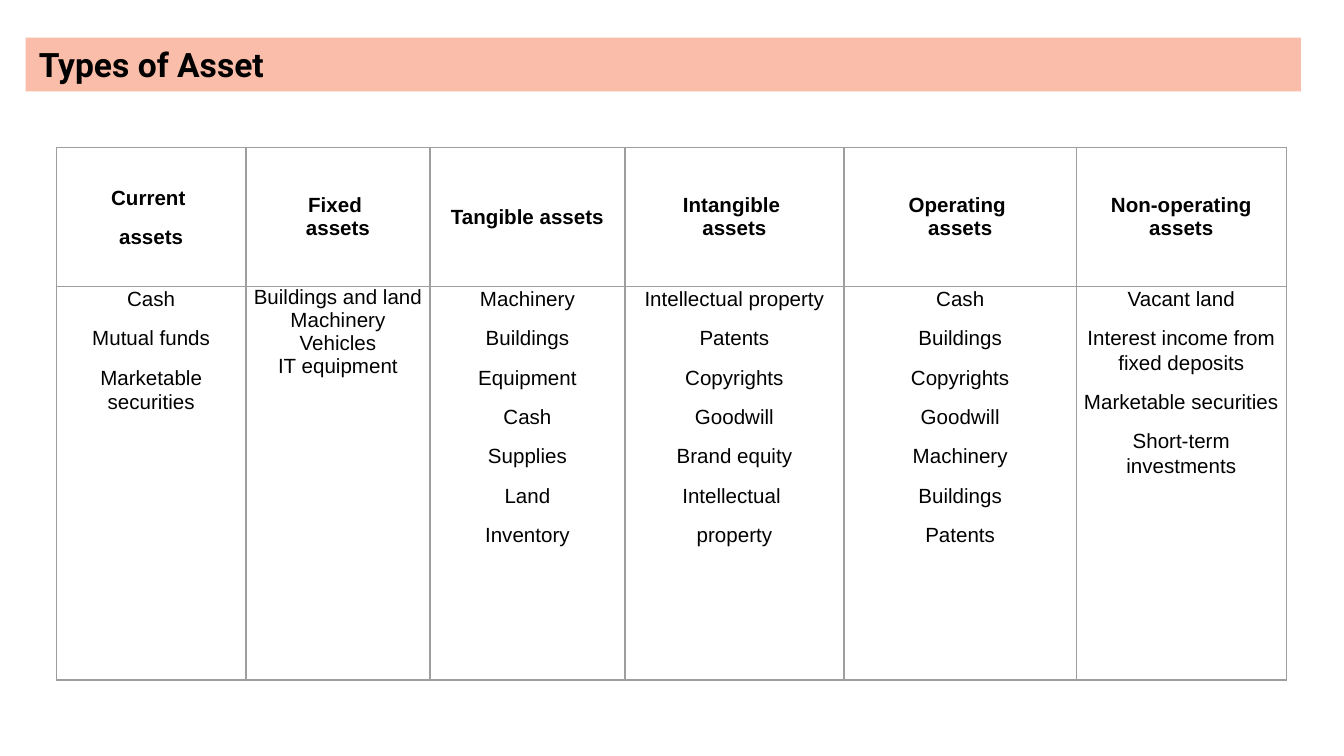
from lxml.etree import SubElement
from pptx import Presentation
from pptx.dml.color import RGBColor
from pptx.enum.shapes import MSO_SHAPE
from pptx.enum.text import MSO_ANCHOR, PP_ALIGN
from pptx.oxml.ns import qn
from pptx.util import Inches, Pt

COLORS = {"banner": "F9BDA9", "text": "000000", "border": "9E9E9E"}
COLUMN_WIDTHS = [1.41, 1.37, 1.45, 1.63, 1.73, 1.56]
ROW_HEIGHTS = [1.03, 2.93]
HEADINGS = [
    ["Current ", "assets"],
    ["Fixed ", "assets"],
    ["Tangible assets"],
    ["Intangible ", "assets"],
    ["Operating ", "assets"],
    ["Non-operating assets"],
]
EXAMPLES = [
    ["Cash", "Mutual funds", "Marketable securities"],
    ["Buildings and land", "Machinery", "Vehicles", "IT equipment"],
    ["Machinery", "Buildings", "Equipment", "Cash", "Supplies", "Land", "Inventory"],
    ["Intellectual property", "Patents", "Copyrights", "Goodwill", "Brand equity",
     "Intellectual ", "property"],
    ["Cash", "Buildings", "Copyrights", "Goodwill", "Machinery", "Buildings", "Patents"],
    ["Vacant land", "Interest income from fixed deposits", "Marketable securities",
     "Short-term investments"],
]


def style_font(p, name, size, bold):
    """Set the font of a whole paragraph."""
    p.font.name = name
    p.font.size = Pt(size)
    p.font.bold = bold
    p.font.color.rgb = RGBColor.from_string(COLORS["text"])


def add_banner(s, text):
    """Add the filled title bar."""
    sp = s.shapes.add_shape(MSO_SHAPE.RECTANGLE, Inches(0.19), Inches(0.28),
                            Inches(9.49), Inches(0.4))
    sp.shadow.inherit = False
    sp.fill.solid()
    sp.fill.fore_color.rgb = RGBColor.from_string(COLORS["banner"])
    sp.line.fill.background()
    tf = sp.text_frame
    tf.word_wrap = True
    p = tf.paragraphs[0]
    p.text = text
    p.alignment = PP_ALIGN.JUSTIFY
    style_font(p, "Roboto", 18, True)


def add_borders(cell):
    """Draw a thin line on each side of a cell."""
    tc_pr = cell._tc.get_or_add_tcPr()
    for side in ("lnL", "lnR", "lnT", "lnB"):
        ln = SubElement(tc_pr, qn(f"a:{side}"), w=str(Pt(0.75)))
        fill = SubElement(ln, qn("a:solidFill"))
        SubElement(fill, qn("a:srgbClr"), val=COLORS["border"])


def fill_cell(cell, lines, heading, spaced):
    """Write centred lines into a bordered, unfilled cell."""
    add_borders(cell)
    cell.fill.background()
    cell.margin_left = cell.margin_right = Inches(0.02)
    cell.margin_top = cell.margin_bottom = 0
    cell.vertical_anchor = MSO_ANCHOR.MIDDLE if heading else MSO_ANCHOR.TOP
    tf = cell.text_frame
    for i, line in enumerate(lines):
        p = tf.add_paragraph() if i else tf.paragraphs[0]
        p.text = line
        p.alignment = PP_ALIGN.CENTER
        if spaced:
            p.line_spacing = 1.07
            p.space_after = Pt(8)
        style_font(p, "Arial", 11, heading)


def add_asset_table(s):
    """Add the table of asset types and their examples."""
    table = s.shapes.add_table(len(ROW_HEIGHTS), len(COLUMN_WIDTHS), Inches(0.42), Inches(1.1),
                               Inches(sum(COLUMN_WIDTHS)), Inches(sum(ROW_HEIGHTS))).table
    table.horz_banding = False
    for row, height in zip(table.rows, ROW_HEIGHTS):
        row.height = Inches(height)
    for i, width in enumerate(COLUMN_WIDTHS):
        table.columns[i].width = Inches(width)
        fill_cell(table.cell(0, i), HEADINGS[i], True, i == 0)
        fill_cell(table.cell(1, i), EXAMPLES[i], False, i != 1)


def main():
    """Build and save the 16:9 slide."""
    prs = Presentation()
    prs.slide_width = Inches(10)
    prs.slide_height = Inches(10) * 9 // 16
    s = prs.slides.add_slide(prs.slide_layouts[6])
    add_banner(s, "Types of Asset ")
    add_asset_table(s)
    prs.save("out.pptx")


if __name__ == "__main__":
    main()
